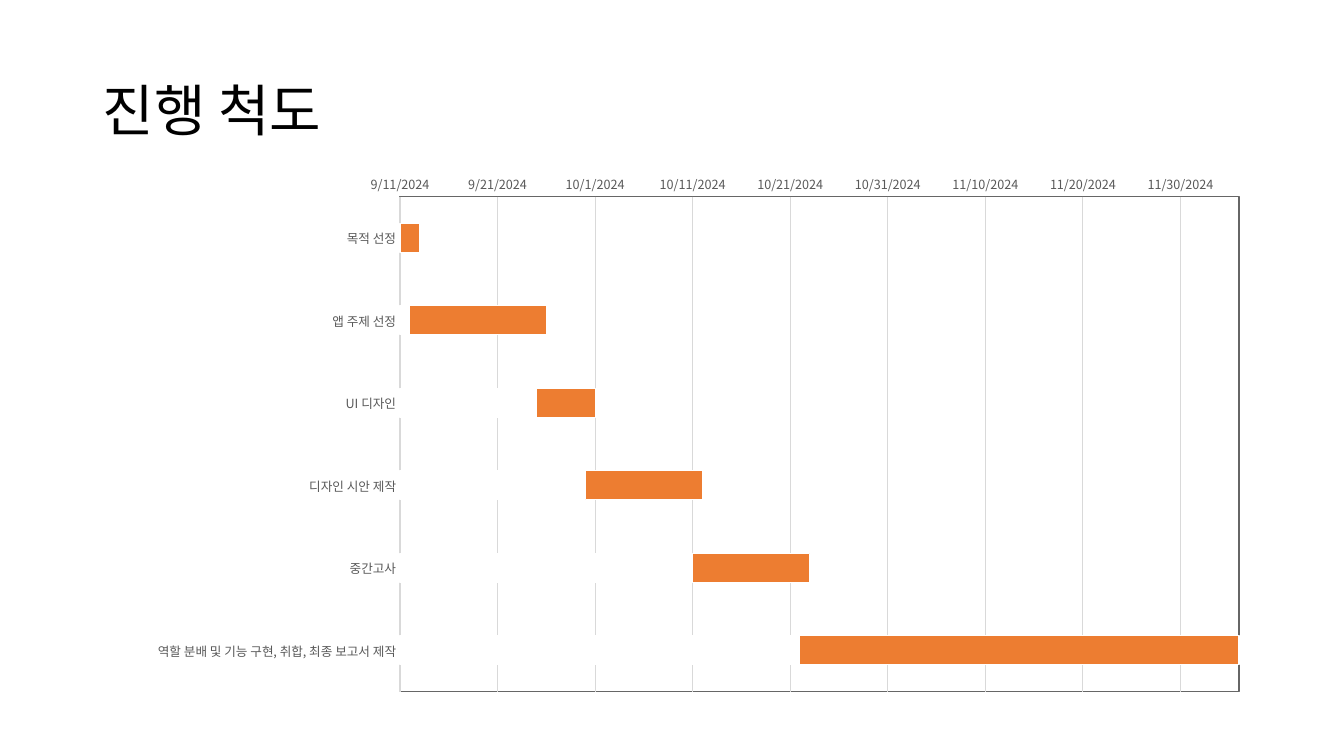
from pptx import Presentation
from pptx.chart.data import CategoryChartData
from pptx.dml.color import RGBColor
from pptx.enum.chart import XL_CHART_TYPE, XL_TICK_MARK
from pptx.enum.text import MSO_ANCHOR
from pptx.oxml import parse_xml
from pptx.oxml.ns import nsdecls, qn
from pptx.util import Cm, Pt

FONT = "Noto Sans CJK KR"
COLORS = {
    "title": "000000",
    "label": "595959",
    "grid": "D9D9D9",
    "frame": "666666",
    "blank": "FFFFFF",
    "bar": "ED7D31",
}
# Task, first day as a date serial number, length in days
TASKS = [
    ("목적 선정", 45546, 2),
    ("앱 주제 선정", 45547, 14),
    ("UI 디자인", 45560, 6),
    ("디자인 시안 제작", 45565, 12),
    ("중간고사", 45576, 12),
    ("역할 분배 및 기능 구현, 취합, 최종 보고서 제작", 45587, 47),
]
FIRST_DAY, LAST_DAY = 45546, 45632
PLOT_LAYOUT = {"x": 0.244, "y": 0.06, "w": 0.736, "h": 0.92}


def color(name):
    return RGBColor.from_string(COLORS[name])


def set_font(font, size, color_name):
    font.name = FONT
    font.size = Pt(size)
    font.color.rgb = color(color_name)


def use_font_for_korean(root):
    """Name the same typeface for East Asian text as for Latin text."""
    for latin in root.iter(qn("a:latin")):
        latin.addnext(parse_xml(f'<a:ea {nsdecls("a")} typeface="{FONT}"/>'))


def set_line(line, color_name):
    line.color.rgb = color(color_name)
    line.width = Pt(0.75)


def add_title(page, text):
    box = page.shapes.add_textbox(Cm(2.34), Cm(1.02), Cm(29.21), Cm(3.68))
    frame = box.text_frame
    frame.word_wrap = True
    frame.vertical_anchor = MSO_ANCHOR.MIDDLE
    para = frame.paragraphs[0]
    para.text = text
    para.line_spacing = 0.9
    set_font(para.font, 40, "title")
    # Runs take the East Asian typeface only from their own properties
    set_font(para.runs[0].font, 40, "title")
    use_font_for_korean(box._element)


def style_axis(axis):
    axis.major_tick_mark = XL_TICK_MARK.NONE
    axis.minor_tick_mark = XL_TICK_MARK.NONE
    set_font(axis.tick_labels.font, 9, "label")


def frame_plot(chart):
    """Fix the inner plot position and draw its border."""
    area = chart._chartSpace.chart.plotArea
    for old in area.findall(qn("c:layout")):
        area.remove(old)
    modes = "".join(f'<c:{key}Mode val="edge"/>' for key in "xy")
    places = "".join(f'<c:{key} val="{value}"/>' for key, value in PLOT_LAYOUT.items())
    area.insert(0, parse_xml(
        f'<c:layout {nsdecls("c")}><c:manualLayout><c:layoutTarget val="inner"/>'
        f"{modes}{places}</c:manualLayout></c:layout>"))
    area.append(parse_xml(
        f'<c:spPr {nsdecls("c", "a")}><a:noFill/><a:ln w="9525"><a:solidFill>'
        f'<a:srgbClr val="{COLORS["frame"]}"/></a:solidFill></a:ln></c:spPr>'))


def add_gantt(page):
    names, starts, days = zip(*TASKS)
    data = CategoryChartData()
    data.categories = names
    data.add_series("Series 1", starts)
    data.add_series("Series 2", days)
    chart = page.shapes.add_chart(
        XL_CHART_TYPE.BAR_STACKED, Cm(3.07), Cm(4.14), Cm(28.73), Cm(13.56), data).chart
    chart.has_title = False
    chart.has_legend = False
    set_font(chart.font, 10, "title")

    plot = chart.plots[0]
    plot.gap_width = 182
    plot.overlap = 100
    plot.vary_by_categories = False
    for series, fill_name in zip(plot.series, ("blank", "bar")):
        series.format.fill.solid()
        series.format.fill.fore_color.rgb = color(fill_name)
        set_line(series.format.line, "blank")

    tasks = chart.category_axis
    style_axis(tasks)
    tasks.reverse_order = True
    set_line(tasks.format.line, "grid")

    dates = chart.value_axis
    style_axis(dates)
    dates.minimum_scale, dates.maximum_scale = FIRST_DAY, LAST_DAY
    dates.major_unit = 10
    dates.has_major_gridlines = True
    set_line(dates.major_gridlines.format.line, "grid")
    dates.format.line.fill.background()
    dates.tick_labels.number_format = "m/d/yyyy"
    dates.tick_labels.number_format_is_linked = False

    frame_plot(chart)
    use_font_for_korean(chart._chartSpace)


def main():
    deck = Presentation()
    deck.slide_width, deck.slide_height = Cm(33.87), Cm(19.05)
    page = deck.slides.add_slide(deck.slide_layouts[6])
    add_title(page, "진행 척도")
    add_gantt(page)
    deck.save("out.pptx")


if __name__ == "__main__":
    main()
